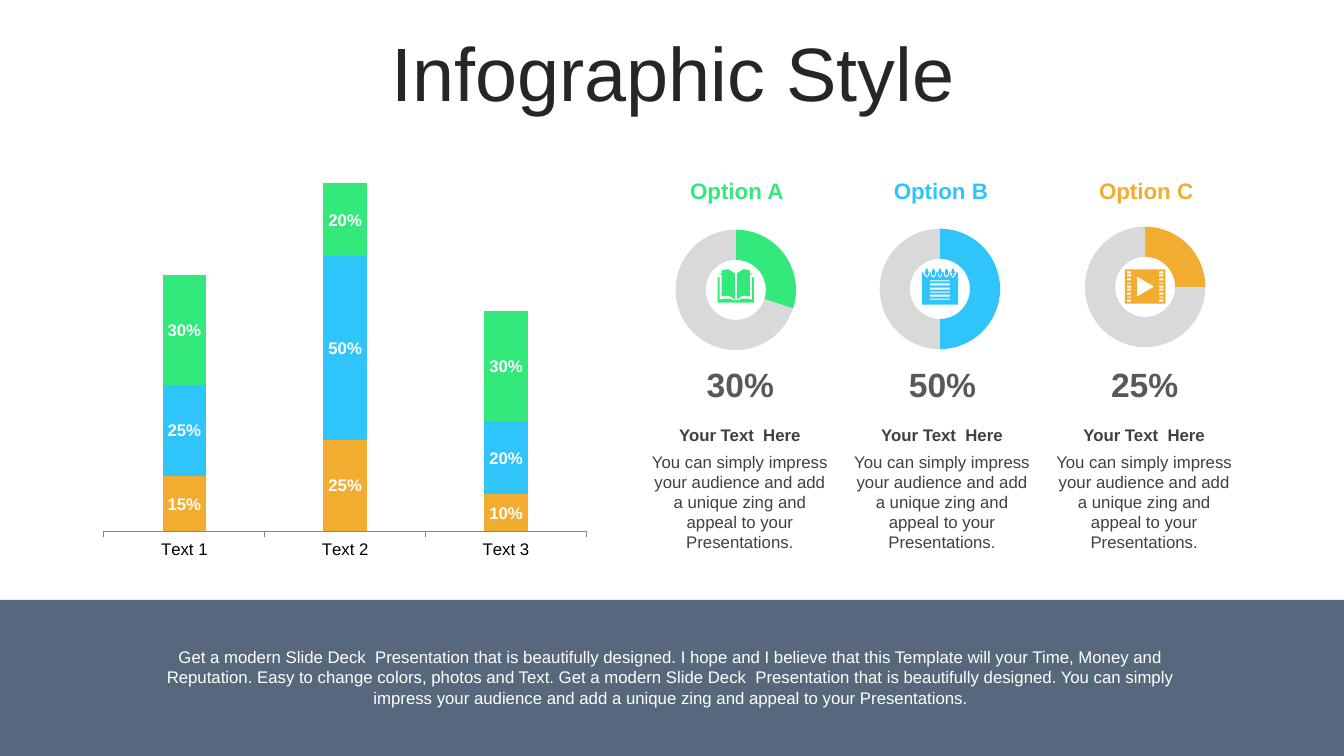
import math

import pptx
import pptx.chart.data
import pptx.dml.color
import pptx.enum.chart
import pptx.enum.shapes
import pptx.enum.text
import pptx.oxml
import pptx.oxml.ns
import pptx.util

Pt = pptx.util.Pt
FONT = "Arial"
COLORS = {
    "green": "33E97C", "blue": "2FC5FA", "amber": "F2AC30", "ring": "D9D9D9",
    "band": "57687C", "title": "262626", "percent": "595959", "body": "404040",
    "axis": "868686", "white": "FFFFFF", "black": "000000",
}
ICON_UNIT = 0.72
CATEGORIES = ["Text 1", "Text 2", "Text 3"]
BAR_SERIES = [
    ("Series 1", [30, 50, 20], "amber"),
    ("Series 2", [50, 100, 40], "blue"),
    ("Series 3", [60, 40, 60], "green"),
]
AXIS_MAX = 200
OPTION_TEXT = ("You can simply impress your audience and add a unique zing "
               "and appeal to your Presentations.")
BAND_TEXT = (
    "Get a modern Slide Deck  Presentation that is beautifully designed. "
    "I hope and I believe that this Template will your Time, Money and Reputation. "
    "Easy to change colors, photos and Text. "
    "Get a modern Slide Deck  Presentation that is beautifully designed. "
    "You can simply impress your audience and add a unique zing and appeal "
    "to your Presentations."
)


def rgb(name):
    return pptx.dml.color.RGBColor.from_string(COLORS[name])


def paint(part, color):
    part.fill.solid()
    part.fill.fore_color.rgb = rgb(color)
    part.line.fill.background()


def add_text(page, box, text, size, color, bold=False, middle=False, spacing=None):
    frame = page.shapes.add_textbox(*map(Pt, box)).text_frame
    frame.word_wrap = True
    if middle:
        frame.vertical_anchor = pptx.enum.text.MSO_ANCHOR.MIDDLE
    frame.text = text
    para = frame.paragraphs[0]
    para.alignment = pptx.enum.text.PP_ALIGN.CENTER
    para.line_spacing = spacing
    font = para.runs[0].font
    font.name, font.size, font.bold = FONT, Pt(size), bold
    font.color.rgb = rgb(color)


def add_chart(page, kind, box, categories, series, plot_area):
    """Add a bare chart whose inner plot area is given in fractions of its box."""
    data = pptx.chart.data.CategoryChartData()
    data.categories = categories
    for name, values in series:
        data.add_series(name, values)
    chart = page.shapes.add_chart(kind, *map(Pt, box), data).chart
    chart.has_legend = chart.has_title = False
    chart.font.name, chart.font.size = FONT, Pt(18)
    chart.font.color.rgb = rgb("black")
    area = chart.element.xpath("c:chart/c:plotArea")[0]
    for layout in area.xpath("c:layout"):
        area.remove(layout)
    modes = "".join(f'<c:{axis}Mode val="edge"/>' for axis in "xy")
    sizes = "".join(f'<c:{key} val="{value}"/>' for key, value in zip("xywh", plot_area))
    area.insert(0, pptx.oxml.parse_xml(
        f'<c:layout {pptx.oxml.ns.nsdecls("c")}><c:manualLayout>'
        f'<c:layoutTarget val="inner"/>{modes}{sizes}</c:manualLayout></c:layout>'))
    return chart


def add_stacked_bars(page, box):
    left, top, width, height = box
    plot_area = (0.037, 0.001, 0.926, 0.902)
    chart = add_chart(page, pptx.enum.chart.XL_CHART_TYPE.COLUMN_STACKED, box, CATEGORIES,
                      [(name, values) for name, values, _ in BAR_SERIES], plot_area)
    plot = chart.plots[0]
    plot.gap_width, plot.overlap, plot.vary_by_categories = 270, 100, False
    for series, (_, _, color) in zip(plot.series, BAR_SERIES):
        paint(series.format, color)
    value_axis, category_axis = chart.value_axis, chart.category_axis
    value_axis.minimum_scale, value_axis.maximum_scale = 0, AXIS_MAX
    value_axis.has_major_gridlines = value_axis.visible = False
    category_axis.major_tick_mark = pptx.enum.chart.XL_TICK_MARK.OUTSIDE
    category_axis.tick_labels.font.name = FONT
    category_axis.tick_labels.font.size = Pt(12)
    category_axis.format.line.color.rgb = rgb("axis")
    category_axis.format.line.width = Pt(0.75)

    label_width, label_height = 45.4, 21.8
    step = plot_area[2] * width / len(CATEGORIES)
    unit = plot_area[3] * height / AXIS_MAX
    baseline = top + (plot_area[1] + plot_area[3]) * height
    for column in range(len(CATEGORIES)):
        middle_x = left + plot_area[0] * width + (column + 0.5) * step
        stacked = 0
        for _, values, _ in BAR_SERIES:
            value = values[column]
            middle_y = baseline - (stacked + value / 2) * unit
            stacked += value
            add_text(page, (middle_x - label_width / 2, middle_y - label_height / 2,
                            label_width, label_height),
                     f"{value // 2}%", 12, "white", bold=True)


def add_doughnut(page, box, percent, color):
    chart = add_chart(page, pptx.enum.chart.XL_CHART_TYPE.DOUGHNUT, box, ["1", "2"],
                      [("Series 1", [percent, 100 - percent])],
                      (0.041, 0.039, 0.976, 0.942))
    chart.element.xpath(".//c:holeSize")[0].set("val", "80")
    plot = chart.plots[0]
    plot.vary_by_categories = True
    for index, name in enumerate((color, "ring")):
        paint(plot.series[0].points[index].format, name)


def rectangle(left, top, right, bottom):
    return [(left, top), (right, top), (right, bottom), (left, bottom)]


def arc(middle_x, middle_y, radius_x, radius_y, start, end, steps=12):
    angles = [math.radians(start + (end - start) * i / steps) for i in range(steps + 1)]
    return [(middle_x + radius_x * math.cos(a), middle_y + radius_y * math.sin(a))
            for a in angles]


def book_outlines():
    leaf = [(0, 13), (0.6, 13), (0.6, -13), (3.5, -15.3), (7, -16.7), (10, -16.8),
            (13.5, -16), (13.5, -13), (16.5, -13), (16.5, -9), (18.2, -9),
            (18.2, 16.5), (0, 16.5)]
    gap = [(15.5, -12), (13.5, -12), (13.5, 10), (9, 9.4), (5, 10.5), (0.7, 13),
           (0.7, 13.5), (6, 11.7), (11, 11.5), (15.5, 12.8)]
    return [[(side * x, y) for x, y in outline]
            for side in (1, -1) for outline in (leaf, gap)]


def notepad_outlines():
    rings = [6.5 * i for i in range(-2, 3)]
    sheet = [(-17.5, -14.5)]
    for x in rings:
        sheet += [(x - 2.5, -14.5), *arc(x, -12, 2.5, 2.6, 180, 0), (x + 2.5, -14.5)]
    sheet += [(17.5, -14.5), (17.5, 17.5), (-17.5, 17.5)]
    lines = [rectangle(-10.5, -6.2 + 3.6 * i, 10.5, -4.6 + 3.6 * i) for i in range(6)]
    return [sheet, *lines, *(arc(x, -14, 1.6, 3.5, 0, 360) for x in rings)]


def film_outlines():
    holes = [rectangle(left, -15 + 3.5 * i, left + 4, -13.3 + 3.5 * i)
             for left in (-17.5, 13.5) for i in range(9)]
    return [rectangle(-19.8, -17, 19.8, 17), [(-8, -10), (9, 0), (-8, 10)], *holes]


def add_icon(page, middle_x, middle_y, outlines, color):
    """Draw outlines around a centre; inner outlines become holes."""
    first, *others = outlines
    builder = page.shapes.build_freeform(*first[0], scale=Pt(ICON_UNIT))
    builder.add_line_segments(first[1:])
    for outline in others:
        builder.move_to(*outline[0])
        builder.add_line_segments(outline[1:])
    icon = builder.convert_to_shape(Pt(middle_x), Pt(middle_y))
    icon.shadow.inherit = False
    paint(icon, color)


def add_option(page, box, letter, percent, color, outlines, shift, rise):
    """Place one column; shift and rise nudge its ring right and up."""
    left, top, width, _ = box
    ring_left = left + 21.6 + shift
    add_text(page, (left + 10.1 + shift, top, 118, 26.6), f"Option {letter}", 16, color,
             bold=True)
    add_doughnut(page, (ring_left, top + 37.4 - rise, 91.4, 91.4), percent, color)
    add_icon(page, ring_left + 46.8, top + 81.6, outlines, color)
    add_text(page, (left + 37.4, top + 133.2, 68.4, 36), f"{percent}%", 24, "percent",
             bold=True, middle=True)
    add_text(page, (left, top + 176.4, width, 21.8), "Your Text  Here", 12, "body", bold=True)
    add_text(page, (left, top + 195.9, width, 80), OPTION_TEXT, 12, "body")


def add_band(page, box):
    left, top, width, height = box
    band = page.shapes.add_shape(pptx.enum.shapes.MSO_SHAPE.RECTANGLE, *map(Pt, box))
    band.shadow.inherit = False
    paint(band, "band")
    add_text(page, (left + 99.4, top + 30.2, width - 200.4, 51), BAND_TEXT, 12, "white")


def main():
    deck = pptx.Presentation()
    deck.slide_width, deck.slide_height = Pt(960), Pt(540)
    page = deck.slides.add_slide(deck.slide_layouts[6])
    add_text(page, (25.2, 26.6, 911.5, 56.9), "Infographic Style", 54, "title",
             middle=True, spacing=0.9)
    add_stacked_bars(page, (60.5, 117.4, 372.2, 290.2))
    options = [
        ("A", 30, "green", book_outlines(), 0, 0),
        ("B", 50, "blue", notepad_outlines(), 1.4, 0.7),
        ("C", 25, "amber", film_outlines(), 3.6, 2.1),
    ]
    for index, option in enumerate(options):
        add_option(page, (457.2 + 144.4 * index, 123.1, 142.6, 276), *option)
    add_band(page, (0, 428.4, 960, 111.6))
    deck.save("out.pptx")


if __name__ == "__main__":
    main()
